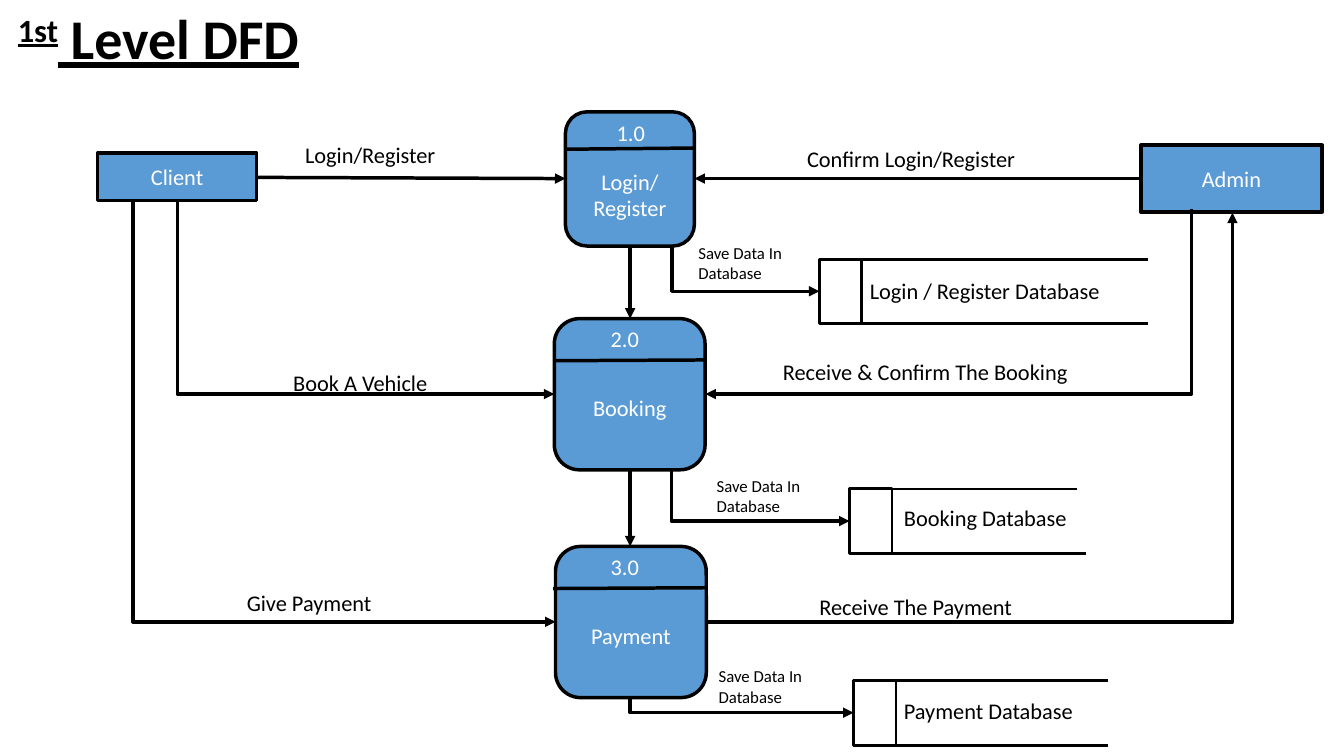
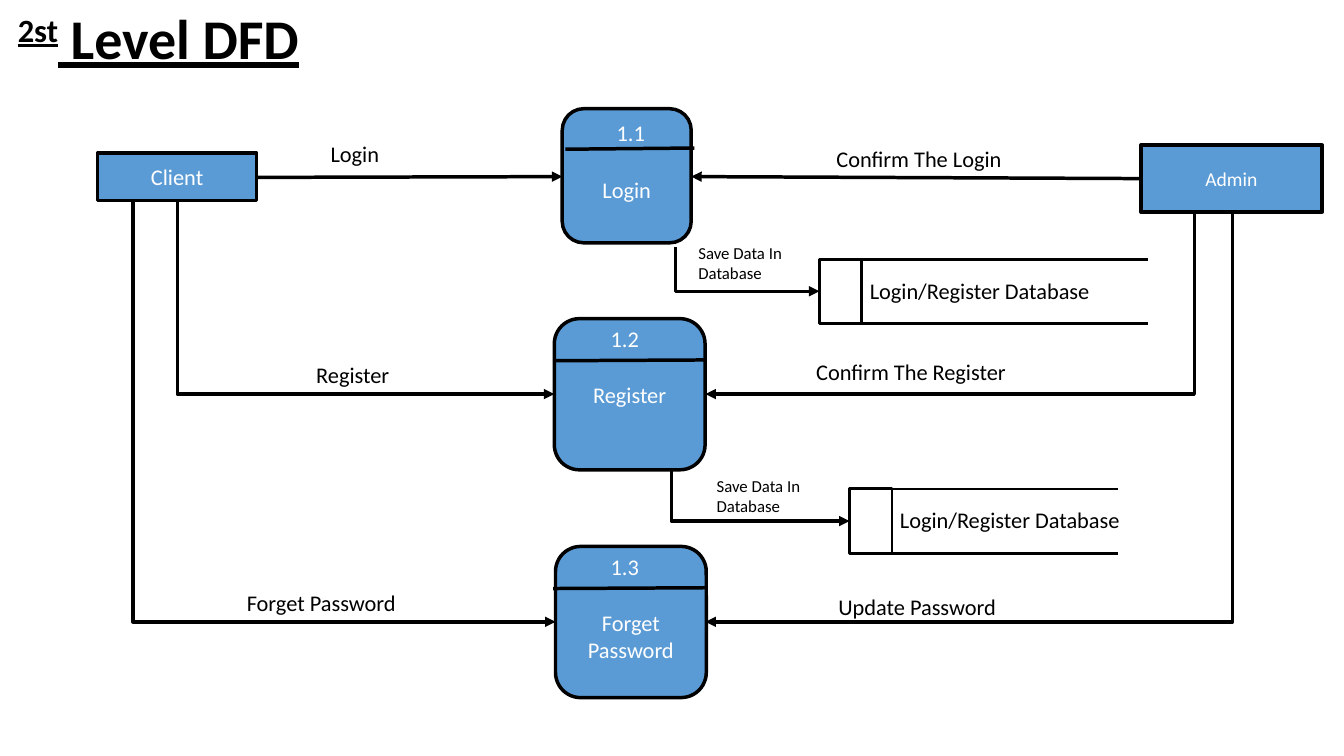
"""Build two data flow diagram slides for a vehicle booking system."""
from dataclasses import dataclass, replace
from typing import Any

import lxml.etree
import pptx
import pptx.dml.color
import pptx.enum.shapes
import pptx.enum.text
import pptx.oxml.ns
import pptx.util

Cm = pptx.util.Cm
Pt = pptx.util.Pt
RGB = pptx.dml.color.RGBColor
Kind = pptx.enum.shapes.MSO_SHAPE
Route = pptx.enum.shapes.MSO_CONNECTOR
Align = pptx.enum.text.PP_ALIGN
Anchor = pptx.enum.text.MSO_ANCHOR
qn = pptx.oxml.ns.qn


@dataclass(frozen=True)
class Theme:
    font: str = "Calibri"
    ink: RGB = RGB(0x00, 0x00, 0x00)
    paper: RGB = RGB(0xFF, 0xFF, 0xFF)
    accent: RGB = RGB(0x5B, 0x9B, 0xD5)
    title: float = 40
    body: float = 16
    small: float = 14
    note: float = 12
    stroke: float = 2.5
    store_stroke: float = 2


THEME = Theme()


@dataclass(frozen=True)
class Frame:
    left: float
    top: float
    width: float
    height: float

    def lengths(self) -> tuple[Any, ...]:
        return tuple(Cm(v) for v in (self.left, self.top, self.width, self.height))


@dataclass(frozen=True)
class Label:
    text: str
    frame: Frame
    size: float = THEME.body


@dataclass(frozen=True)
class Slot:
    frame: Frame
    rule: Frame
    number: Frame


@dataclass(frozen=True)
class Process:
    number: str
    name: str
    slot: Slot
    lead: float = 0.69


@dataclass(frozen=True)
class Store:
    name: Label
    left: float
    top: float
    top_right: float
    bottom_right: float


@dataclass(frozen=True)
class Link:
    x1: float
    y1: float
    x2: float
    y2: float
    bent: bool = False
    arrow: str = "tailEnd"


@dataclass(frozen=True)
class Diagram:
    ordinal: str
    entities: list[Label]
    links: list[Link]
    labels: list[Label]
    stores: list[Store]
    processes: list[Process]


def apply(target: Any, values: dict[str, Any]) -> None:
    for name, value in values.items():
        setattr(target, name, value)


def write(frame: Any, text: str, size: float, color: RGB, align: Any = Align.LEFT) -> None:
    for index, line in enumerate(text.split("\n")):
        para = frame.paragraphs[0] if index == 0 else frame.add_paragraph()
        para.alignment = align
        span = para.add_run()
        span.text = line
        apply(span.font, {"name": THEME.font, "size": Pt(size)})
        span.font.color.rgb = color


def add_label(page: Any, label: Label, color: RGB = THEME.ink) -> None:
    box = page.shapes.add_textbox(*label.frame.lengths())
    box.text_frame.word_wrap = True
    write(box.text_frame, label.text, label.size, color)


def add_title(page: Any, ordinal: str) -> None:
    frame = page.shapes.add_textbox(*Frame(0.2, 0, 29.21, 2.08).lengths()).text_frame
    apply(frame, {"word_wrap": True, "vertical_anchor": Anchor.MIDDLE})
    para = frame.paragraphs[0]
    para.line_spacing = 0.9
    for text, baseline in ((ordinal, 30000), (" Level DFD", 0)):
        span = para.add_run()
        span.text = text
        apply(span.font, {"name": THEME.font, "size": Pt(THEME.title),
                          "bold": True, "underline": True})
        span.font.color.rgb = THEME.ink
        span.font._element.set("baseline", str(baseline))


def add_block(page: Any, kind: Any, frame: Frame, stroke: float = THEME.stroke,
              filled: bool = True) -> Any:
    block = page.shapes.add_shape(kind, *frame.lengths())
    block.shadow.inherit = False
    if filled:
        block.fill.solid()
        block.fill.fore_color.rgb = THEME.accent
    else:
        block.fill.background()
    block.line.color.rgb = THEME.ink
    block.line.width = Pt(stroke)
    apply(block.text_frame, {"word_wrap": True, "vertical_anchor": Anchor.MIDDLE})
    return block


def add_link(page: Any, link: Link, stroke: float = THEME.stroke) -> None:
    ends = (Cm(v) for v in (link.x1, link.y1, link.x2, link.y2))
    line = page.shapes.add_connector(Route.ELBOW if link.bent else Route.STRAIGHT, *ends)
    line.line.color.rgb = THEME.ink
    line.line.width = Pt(stroke)
    properties = line._element.spPr
    if link.bent:
        guides = properties.find(qn("a:prstGeom")).get_or_add_avLst()
        lxml.etree.SubElement(guides, qn("a:gd"), name="adj1", fmla="val 0")
    if link.arrow:
        lxml.etree.SubElement(properties.find(qn("a:ln")), qn(f"a:{link.arrow}"), type="triangle")
    lxml.etree.SubElement(properties, qn("a:effectLst"))


def add_entity(page: Any, entity: Label) -> None:
    block = add_block(page, Kind.FLOWCHART_PROCESS, entity.frame)
    write(block.text_frame, entity.text, entity.size, THEME.paper, Align.CENTER)


def add_process(page: Any, process: Process) -> None:
    slot = process.slot
    block = add_block(page, Kind.ROUNDED_RECTANGLE, slot.frame)
    block.text_frame.margin_top = Cm(0.13 + process.lead)
    write(block.text_frame, process.name, THEME.body, THEME.paper, Align.CENTER)
    rule = slot.rule
    add_link(page, Link(rule.left, rule.top, rule.left + rule.width,
                        rule.top + rule.height, arrow=""))
    add_label(page, Label(process.number, slot.number), THEME.paper)


def add_store(page: Any, store: Store) -> None:
    cell = Frame(store.left, store.top, 1.07, 1.63)
    add_block(page, Kind.RECTANGLE, cell, THEME.store_stroke, filled=False)
    middle = cell.left + cell.width / 2
    for y, right in ((cell.top, store.top_right), (cell.top + cell.height, store.bottom_right)):
        add_link(page, Link(middle, y, right, y, arrow=""), THEME.store_stroke)
    add_label(page, store.name)


def add_diagram(deck: Any, diagram: Diagram) -> None:
    page = deck.slides.add_slide(deck.slide_layouts[6])
    add_title(page, diagram.ordinal)
    for draw, items in ((add_entity, diagram.entities), (add_link, diagram.links),
                        (add_label, diagram.labels), (add_store, diagram.stores),
                        (add_process, diagram.processes)):
        for item in items:
            draw(page, item)


def text_at(text: str, left: float, top: float, width: float) -> Label:
    return Label(text, Frame(left, top, width, 0.94))


def save_note(left: float, top: float) -> Label:
    return Label("Save Data In Database", Frame(left, top, 3.23, 1.27), THEME.note)


def square_slot(left: float, top: float) -> Slot:
    return Slot(Frame(left, top, 3.8, 3.81), Frame(13.94, top + 1.06, 3.86, -0.02),
                Frame(15.14, top + 0.05, 1.24, 0.94))


FIRST = Slot(Frame(14.25, 2.82, 3.25, 3.38), Frame(14.25, 3.76, 3.25, -0.03),
             Frame(15.29, 2.87, 1.24, 0.94))
SECOND = square_slot(13.97, 8.03)
THIRD = square_slot(14, 13.77)

CLIENT = Label("Client", Frame(2.46, 3.86, 4.01, 1.19))
ADMIN = Label("Admin", Frame(28.75, 3.66, 4.57, 1.68))
SHARED_LINKS = [
    Link(4.47, 5.05, 13.97, 9.93, bent=True),
    Link(3.35, 5.05, 14, 15.67, bent=True),
    Link(16.92, 11.66, 21.41, 13.13, bent=True),
]
SHARED_NOTES = [save_note(17.35, 5.99), save_note(17.81, 11.86)]
LOGIN_STORE = Store(text_at("Login / Register Database", 21.67, 6.86, 7.26),
                    20.65, 6.53, 28.93, 28.93)

DIAGRAMS = [
    Diagram(
        "1st",
        [CLIENT, ADMIN],
        SHARED_LINKS + [
            Link(6.48, 4.47, 14.25, 4.5),
            Link(28.75, 4.5, 17.5, 4.5),
            Link(15.88, 6.2, 15.88, 8.03),
            Link(15.88, 11.84, 15.88, 13.77),
            Link(30.03, 5.28, 17.78, 9.93, bent=True),
            Link(31.06, 5.36, 17.78, 15.67, bent=True, arrow="headEnd"),
            Link(16.94, 6.22, 20.65, 7.34, bent=True),
            Link(15.88, 17.58, 21.51, 17.96, bent=True),
        ],
        SHARED_NOTES + [
            save_note(17.86, 16.66),
            text_at("Login/Register", 7.44, 3.43, 4.83),
            text_at("Book A Vehicle", 7.14, 9.17, 3.94),
            text_at("Give Payment", 5.97, 14.71, 4.45),
            text_at("Confirm Login/Register", 20.09, 3.53, 6.78),
            text_at("Receive & Confirm The Booking", 19.48, 8.89, 8.61),
            text_at("Receive The Payment", 20.4, 14.81, 5.64),
        ],
        [
            LOGIN_STORE,
            Store(text_at("Booking Database", 22.53, 12.57, 4.83), 21.41, 12.32, 27.15, 27.36),
            Store(text_at("Payment Database", 22.53, 17.45, 4.83), 21.51, 17.15, 27.91, 27.91),
        ],
        [
            Process("1.0", "Login/\nRegister", FIRST, 0.78),
            Process("2.0", "Booking", SECOND),
            Process("3.0", "Payment", THIRD),
        ],
    ),
    Diagram(
        "2st",
        [CLIENT, replace(ADMIN, size=THEME.small)],
        SHARED_LINKS + [
            Link(6.48, 4.47, 14.17, 4.45),
            Link(28.75, 4.5, 17.42, 4.45),
            Link(30.1, 5.36, 17.78, 9.93, bent=True),
            Link(31.06, 5.36, 17.78, 15.67, bent=True),
            Link(17.02, 6.22, 20.65, 7.34, bent=True),
        ],
        SHARED_NOTES + [
            text_at("Login", 8.08, 3.4, 3.94),
            text_at("Register", 7.72, 8.97, 3.3),
            text_at("Forget Password", 5.97, 14.71, 4.45),
            text_at("Confirm The Login", 20.83, 3.53, 5.84),
            text_at("Confirm The Register", 20.32, 8.89, 8.28),
            text_at("Update Password", 20.88, 14.81, 5.79),
        ],
        [
            replace(LOGIN_STORE, name=replace(LOGIN_STORE.name, text="Login/Register Database")),
            Store(text_at("Login/Register Database", 22.43, 12.62, 7.26),
                  21.41, 12.32, 28.17, 28.17),
        ],
        [
            Process("1.1", "Login", replace(FIRST, frame=Frame(14.17, 2.74, 3.25, 3.38))),
            Process("1.2", "Register", SECOND, 0),
            Process("1.3", "Forget Password", THIRD),
        ],
    ),
]


def main() -> None:
    deck = pptx.Presentation()
    apply(deck, {"slide_width": Cm(33.87), "slide_height": Cm(19.05)})
    for diagram in DIAGRAMS:
        add_diagram(deck, diagram)
    deck.save("out.pptx")


if __name__ == "__main__":
    main()
